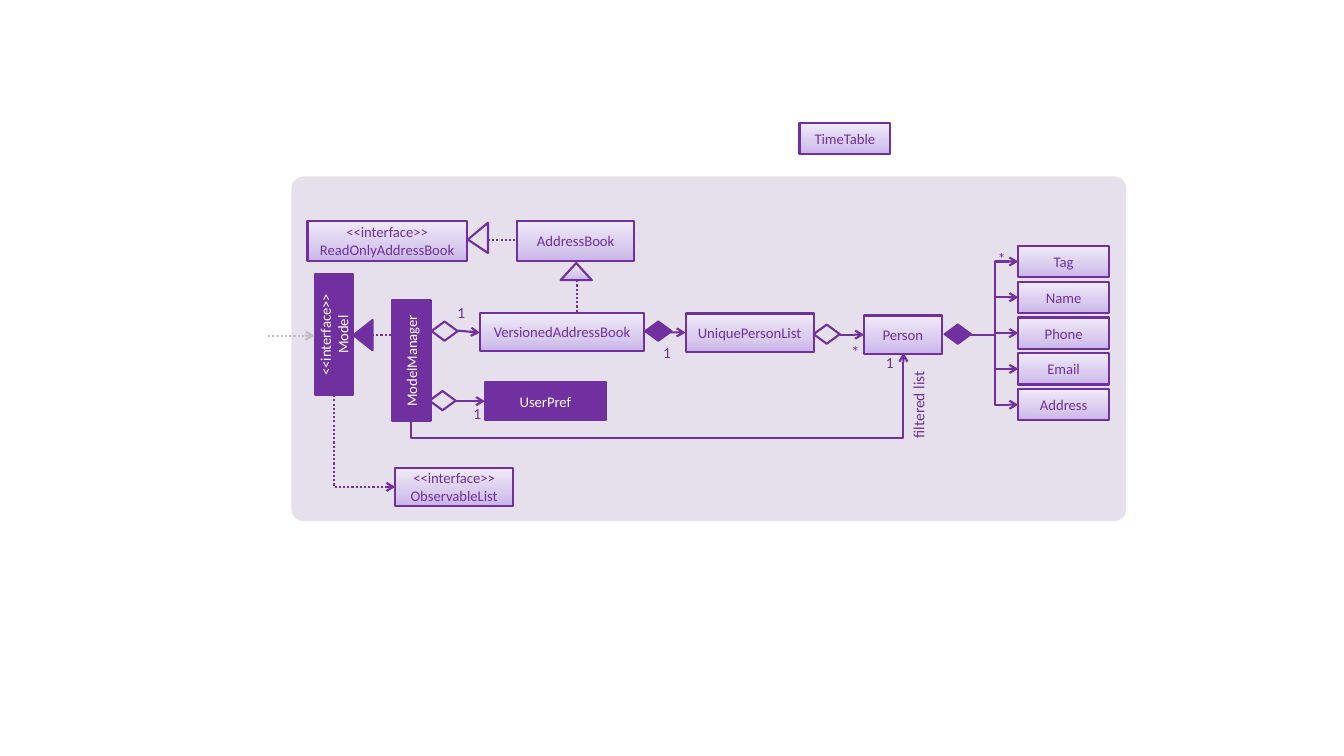
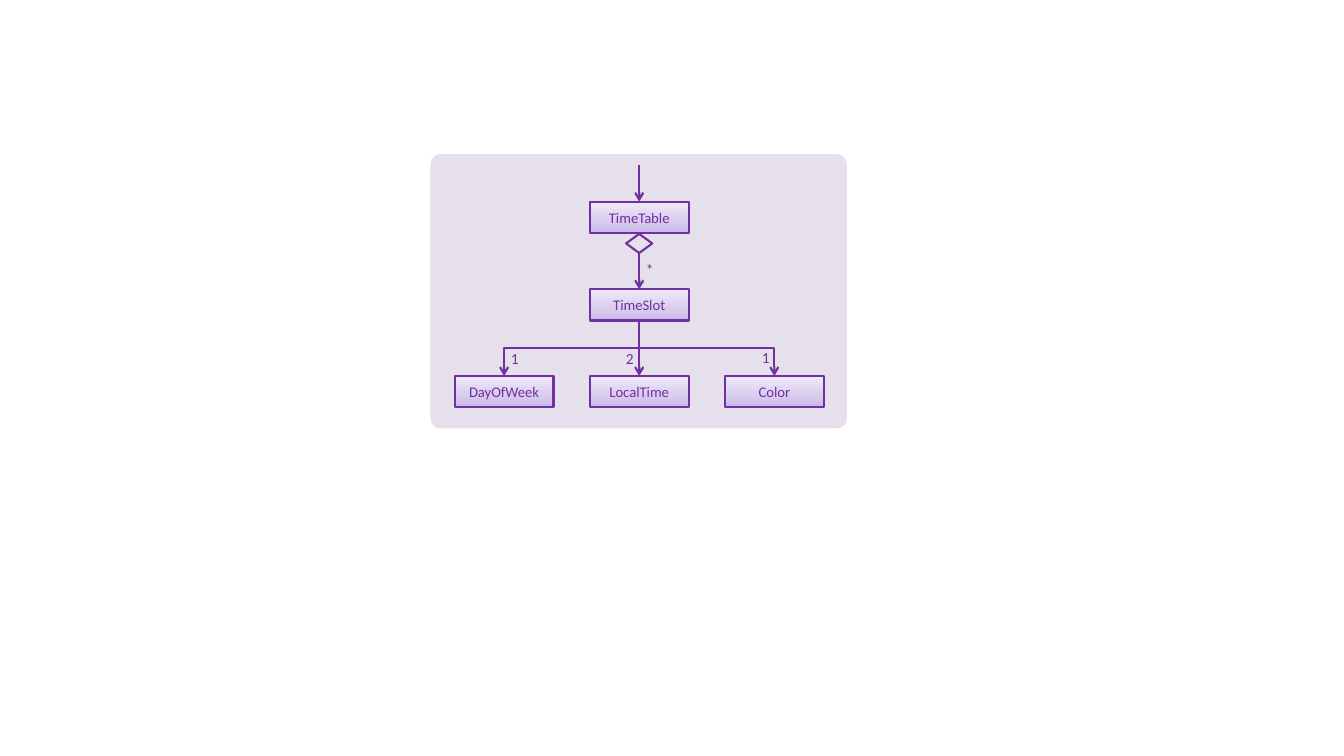
from copy import deepcopy

from lxml.etree import SubElement
from pptx import Presentation
from pptx.dml.color import RGBColor
from pptx.enum.dml import MSO_LINE
from pptx.enum.shapes import MSO_CONNECTOR, MSO_SHAPE
from pptx.enum.text import MSO_ANCHOR, PP_ALIGN
from pptx.oxml.ns import qn
from pptx.util import Inches, Pt

PURPLE = RGBColor(0x70, 0x30, 0xA0)
LILAC = RGBColor(0xE6, 0xE0, 0xEC)
GREY = RGBColor(0xBF, 0xBF, 0xBF)
WHITE = RGBColor(0xFF, 0xFF, 0xFF)
SHADES = (
    (0, RGBColor(0xC9, 0xB5, 0xE8)),
    (0.35, RGBColor(0xD8, 0xCB, 0xEE)),
    (1, RGBColor(0xF0, 0xEA, 0xF9)),
)
FONT = "Calibri"
STROKE = Pt(1.5)


class Diagram:
    def __init__(self):
        self.deck = Presentation()
        self.deck.slide_width = Inches(13.33)
        self.deck.slide_height = Inches(7.5)
        self.page = None

    def new_page(self):
        self.page = self.deck.slides.add_slide(self.deck.slide_layouts[6])

    def fill_text(self, frame, lines, size, color, align):
        frame.word_wrap = True
        for index, line in enumerate(lines):
            para = frame.add_paragraph() if index else frame.paragraphs[0]
            para.alignment = align
            span = para.add_run()
            span.text = line
            span.font.name = FONT
            span.font.size = Pt(size)
            span.font.color.rgb = color

    def shade(self, shape):
        shape.fill.gradient()
        shape.fill.gradient_angle = 90
        stops = shape.element.spPr.find(".//" + qn("a:gsLst"))
        stops.append(deepcopy(stops[-1]))
        for stop, (position, color) in zip(shape.fill.gradient_stops, SHADES):
            stop.position = position
            stop.color.rgb = color

    def shape(self, kind, left, top, width, height, fill=None, rotation=0):
        shape = self.page.shapes.add_shape(
            kind, Inches(left), Inches(top), Inches(width), Inches(height))
        shape.shadow.inherit = False
        shape.rotation = rotation
        if fill is None:
            shape.fill.background()
        elif fill is SHADES:
            self.shade(shape)
        else:
            shape.fill.solid()
            shape.fill.fore_color.rgb = fill
        shape.line.color.rgb = PURPLE
        shape.line.width = STROKE
        return shape

    def panel(self, left, top, width, height):
        panel = self.shape(MSO_SHAPE.ROUNDED_RECTANGLE, left, top, width, height, LILAC)
        panel.adjustments[0] = 0.035
        panel.line.fill.background()

    def box(self, lines, left, top, width, height, fill=SHADES, rotation=0):
        box = self.shape(MSO_SHAPE.RECTANGLE, left, top, width, height, fill, rotation)
        box.text_frame.vertical_anchor = MSO_ANCHOR.MIDDLE
        color = PURPLE if fill is SHADES else WHITE
        self.fill_text(box.text_frame, lines, 10.5, color, PP_ALIGN.CENTER)

    def diamond(self, left, top, fill=None):
        self.shape(MSO_SHAPE.FLOWCHART_DECISION, left, top, 0.26, 0.19, fill)

    def triangle(self, left, top, width, height, fill, rotation=0):
        return self.shape(MSO_SHAPE.ISOSCELES_TRIANGLE, left, top, width, height, fill, rotation)

    def text(self, line, left, top, width, height, align):
        box = self.page.shapes.add_textbox(
            Inches(left), Inches(top), Inches(width), Inches(height))
        self.fill_text(box.text_frame, [line], 11, PURPLE, align)
        return box

    def label(self, line, left, top):
        frame = self.text(line, left, top, 0.21, 0.2, PP_ALIGN.CENTER).text_frame
        frame.margin_left = frame.margin_right = 0
        frame.margin_top = frame.margin_bottom = 0

    def connector(self, kind, start, end, arrow, dotted, color):
        line = self.page.shapes.add_connector(
            kind, *(Inches(value) for value in (*start, *end)))
        line.line.color.rgb = color
        line.line.width = STROKE
        if dotted:
            line.line.dash_style = MSO_LINE.ROUND_DOT
        properties = line.element.spPr
        if arrow:
            SubElement(properties.find(qn("a:ln")), qn("a:tailEnd"), type="arrow")
        SubElement(properties, qn("a:effectLst"))
        return line

    def line(self, start, end, arrow=True, dotted=False, color=PURPLE):
        self.connector(MSO_CONNECTOR.STRAIGHT, start, end, arrow, dotted, color)

    def elbow(self, start, end):
        self.connector(MSO_CONNECTOR.ELBOW, start, end, True, False, PURPLE)

    def drop(self, start, end, bend=0.5, corner=False, dotted=False):
        run, fall = end[0] - start[0], end[1] - start[1]
        middle_x, middle_y = (start[0] + end[0]) / 2, (start[1] + end[1]) / 2
        turn = 270 if run > 0 and fall > 0 else 90
        sign = 1 if turn == 90 else -1
        half_x, half_y = sign * fall / 2, -sign * run / 2
        line = self.connector(
            MSO_CONNECTOR.ELBOW,
            (middle_x - half_x, middle_y - half_y),
            (middle_x + half_x, middle_y + half_y),
            True, dotted, PURPLE)
        properties = line.element.spPr
        properties.find(qn("a:xfrm")).set("rot", str(turn * 60000))
        geometry = properties.find(qn("a:prstGeom"))
        if corner:
            geometry.set("prst", "bentConnector2")
        elif bend != 0.5:
            SubElement(geometry.find(qn("a:avLst")), qn("a:gd"),
                       name="adj1", fmla=f"val {round(bend * 100000)}")


def draw_model(diagram):
    diagram.new_page()
    diagram.panel(2.89, 1.75, 8.28, 3.42)

    diagram.box(["UserPref"], 4.81, 3.79, 1.2, 0.38, PURPLE)
    diagram.box(["ModelManager"], 3.48, 3.39, 1.2, 0.38, PURPLE, 270)
    diagram.box(["<<interface>>", "Model"], 2.71, 3.13, 1.2, 0.38, PURPLE, 270)
    for lines, left, top, width, height in (
        (["<<interface>>", "ReadOnlyAddressBook"], 3.05, 2.19, 1.58, 0.4),
        (["AddressBook"], 5.13, 2.19, 1.16, 0.4),
        (["VersionedAddressBook"], 4.76, 3.11, 1.63, 0.37),
        (["UniquePersonList"], 6.8, 3.11, 1.27, 0.38),
        (["Person"], 8.57, 3.13, 0.77, 0.38),
        (["<<interface>>", "ObservableList"], 3.92, 4.64, 1.17, 0.38),
        (["TimeTable"], 7.93, 1.22, 0.9, 0.31),
    ):
        diagram.box(lines, left, top, width, height)

    for index, field in enumerate(("Tag", "Name", "Phone", "Email", "Address")):
        top = 2.44 + 0.71 * index / 2
        diagram.box([field], 10.1, top, 0.9, 0.31)
        diagram.elbow((9.63, 3.32), (10.1, top + 0.31 / 2))

    for left, top, fill in (
        (4.26, 3.88, None),
        (4.28, 3.19, None),
        (6.4, 3.19, PURPLE),
        (8.07, 3.22, None),
        (9.37, 3.22, PURPLE),
    ):
        diagram.diamond(left, top, fill)

    diagram.triangle(3.45, 3.23, 0.3, 0.19, PURPLE, 270)
    diagram.triangle(5.56, 2.61, 0.31, 0.17, SHADES)
    diagram.triangle(4.59, 2.26, 0.3, 0.2, LILAC, 270).adjustments[0] = 0.445

    for start, end in (
        ((4.52, 3.98), (4.81, 3.98)),
        ((4.54, 3.28), (4.76, 3.3)),
        ((6.4, 3.29), (6.8, 3.3)),
        ((8.33, 3.32), (8.57, 3.32)),
    ):
        diagram.line(start, end)
    for start, end in (
        ((3.69, 3.32), (3.93, 3.32)),
        ((5.72, 2.78), (5.72, 3.1)),
        ((4.84, 2.38), (5.13, 2.38)),
    ):
        diagram.line(start, end, arrow=False, dotted=True)
    diagram.line((2.66, 3.33), (3.12, 3.33), dotted=True, color=GREY)
    diagram.drop((4.08, 4.18), (8.96, 3.5), bend=-0.25)
    diagram.drop((3.31, 3.92), (3.92, 4.83), corner=True, dotted=True)

    for line, left, top in (
        ("1", 4.47, 3.01), ("1", 4.63, 4.01), ("1", 6.51, 3.4),
        ("*", 8.38, 3.39), ("1", 8.72, 3.5), ("*", 9.83, 2.47),
    ):
        diagram.label(line, left, top)
    diagram.text("filtered list", 8.63, 3.92, 0.96, 0.29, PP_ALIGN.RIGHT).rotation = 270


def draw_timetable(diagram):
    diagram.new_page()
    diagram.panel(4.27, 1.53, 4.13, 2.72)
    middle = 6.34
    width, height = 0.98, 0.31
    slot_bottom, leaf_top = 3.18, 3.73

    for name, top in (("TimeTable", 2), ("TimeSlot", 2.87)):
        diagram.box([name], middle - width / 2, top, width, height)
        diagram.line((middle, top - 0.36), (middle, top))
    diagram.diamond(middle - 0.13, 2.32)

    for index, name in enumerate(("DayOfWeek", "LocalTime", "Color")):
        center = middle + 1.34 * (index - 1)
        diagram.box([name], center - width / 2, leaf_top, width, height)
        if center == middle:
            diagram.line((middle, slot_bottom), (middle, leaf_top))
        else:
            diagram.drop((middle, slot_bottom), (center, leaf_top))

    for line, left, top in (
        ("*", 6.34, 2.58), ("1", 5, 3.46), ("2", 6.14, 3.46), ("1", 7.49, 3.45),
    ):
        diagram.label(line, left, top)


def main():
    diagram = Diagram()
    draw_model(diagram)
    draw_timetable(diagram)
    diagram.deck.save("out.pptx")


if __name__ == "__main__":
    main()
